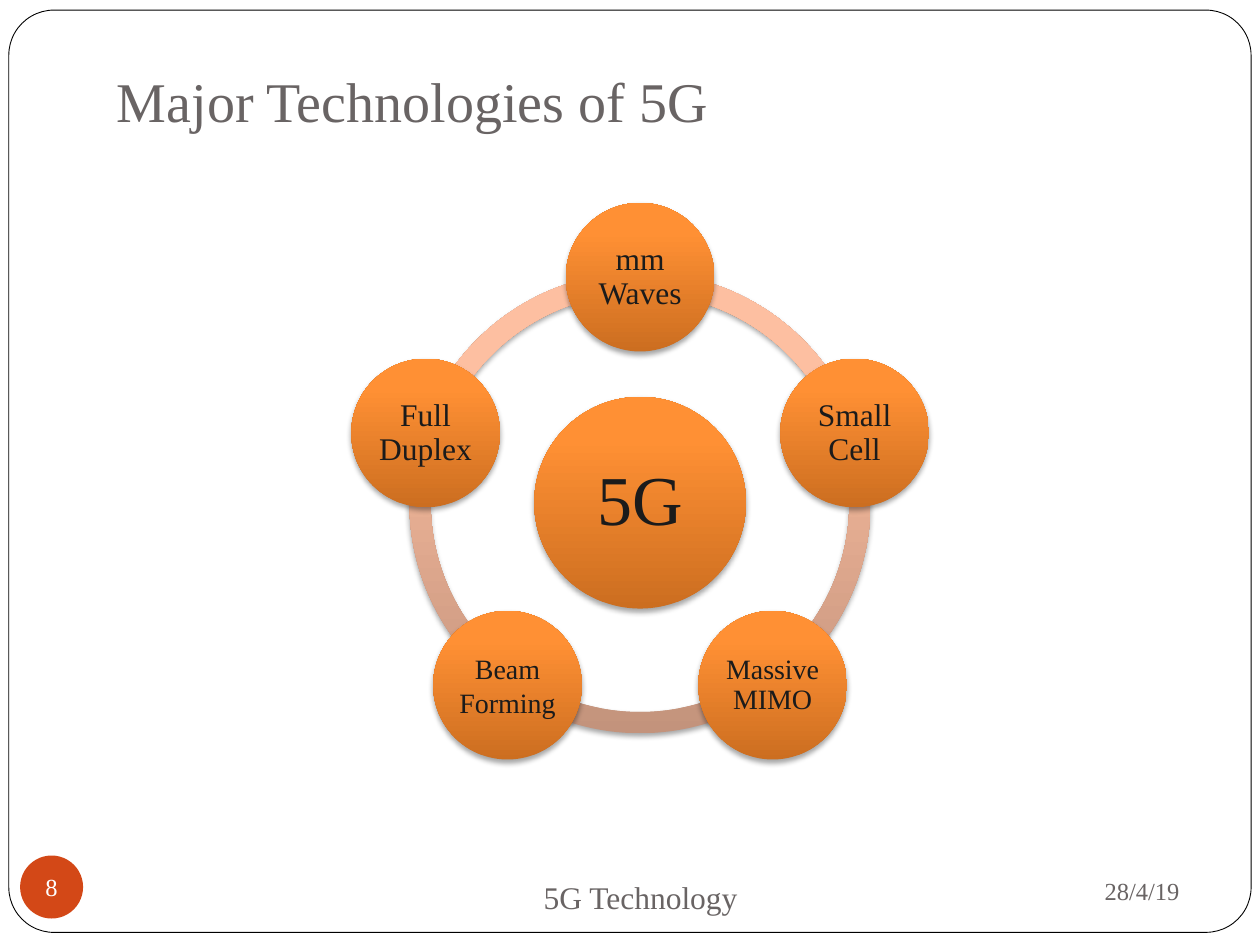
import math
import pptx
import pptx.dml.color
import pptx.enum.shapes
import pptx.enum.text
import pptx.oxml
import pptx.oxml.ns
import pptx.util

Inches, Pt = pptx.util.Inches, pptx.util.Pt
SHAPE = pptx.enum.shapes.MSO_SHAPE
ALIGN = pptx.enum.text.PP_ALIGN
ANCHOR = pptx.enum.text.MSO_ANCHOR

# Content
TITLE = "Major Technologies of 5G"
FOOTER, DATE, PAGE = "5G Technology", "28/4/19", "8"
HUB = "5G"
# Clockwise from the top: label, type size, line spacing
TECHNOLOGIES = [
    ("mm Waves", "node", 0.9),
    ("Small Cell", "node", 0.9),
    ("Massive MIMO", "node_long", 0.9),
    ("Beam Forming", "node_long", 1.0),
    ("Full Duplex", "node", 0.9),
]

THEME = {
    "font": "Times New Roman",
    "paper": "FFFFFF", "frame": "000000", "muted": "696464",
    "ink": "1B1B1B", "badge": "D34817",
    "ring": [(0, "C3937C"), (80, "FDBFA1"), (100, "FFBFA1")],
    "ball": [(0, "CC6E20"), (80, "FF9034"), (100, "FF9136")],
    "size": {"title": 32, "hub": 40, "node": 18, "node_long": 16,
             "footer": 18, "small": 14},
}

# Geometry in inches
CENTER_X, CENTER_Y = 5.08, 3.99
RING_SIZE, HUB_SIZE, NODE_SIZE = 3.66, 1.68, 1.18
ORBIT = 1.79
STEP = 360 / len(TECHNOLOGIES)
DEGREE = 0.6  # one degree in adjustment units


def rgb(color):
    return pptx.dml.color.RGBColor.from_string(color)


def write(shape, text, size, color, align=ALIGN.CENTER, anchor=ANCHOR.MIDDLE,
          insets=(0.1, 0.05, 0.1, 0.05), spacing=1.0, wrap=True):
    frame = shape.text_frame
    frame.word_wrap = wrap
    frame.vertical_anchor = anchor
    (frame.margin_left, frame.margin_top,
     frame.margin_right, frame.margin_bottom) = map(Inches, insets)
    paragraph = frame.paragraphs[0]
    paragraph.alignment = align
    paragraph.line_spacing = spacing
    run = paragraph.add_run()
    run.text = text
    run.font.name = THEME["font"]
    run.font.size = Pt(THEME["size"][size])
    run.font.color.rgb = rgb(THEME[color])


def add_label(slide, box, *args, **options):
    write(slide.shapes.add_textbox(*map(Inches, box)), *args, **options)


def add_flat(slide, kind, box, fill):
    shape = slide.shapes.add_shape(kind, *map(Inches, box))
    shape.shadow.inherit = False
    shape.fill.solid()
    shape.fill.fore_color.rgb = rgb(THEME[fill])
    shape.line.fill.background()
    return shape


def add_glossy(group, kind, x, y, size, gradient):
    """Centred shape with an upward gradient and a soft shadow below."""
    shape = group.shapes.add_shape(
        kind, Inches(x - size / 2), Inches(y - size / 2), Inches(size), Inches(size))
    shape.shadow.inherit = False
    shape.line.fill.background()
    ns = pptx.oxml.ns.nsdecls("a")
    stops = "".join(f'<a:gs pos="{pos * 1000}"><a:srgbClr val="{color}"/></a:gs>'
                    for pos, color in THEME[gradient])
    properties = shape._element.spPr
    properties.find(pptx.oxml.ns.qn("a:ln")).addprevious(pptx.oxml.parse_xml(
        f'<a:gradFill {ns} rotWithShape="1"><a:gsLst>{stops}</a:gsLst>'
        '<a:lin ang="16200000" scaled="0"/></a:gradFill>'))
    properties.find(pptx.oxml.ns.qn("a:effectLst")).append(pptx.oxml.parse_xml(
        f'<a:outerShdw {ns} blurRad="{Pt(3.1)}" dist="{Pt(1.8)}" dir="5400000" '
        'rotWithShape="0"><a:srgbClr val="000000"><a:alpha val="35000"/>'
        '</a:srgbClr></a:outerShdw>'))
    return shape


def add_cycle(slide):
    group = slide.shapes.add_group_shape()
    angles = [(270 + STEP * i) % 360 for i in range(len(TECHNOLOGIES))]

    # Ring segments between neighbouring technologies
    for start in reversed(angles):
        arc = add_glossy(group, SHAPE.BLOCK_ARC, CENTER_X, CENTER_Y, RING_SIZE, "ring")
        arc.adjustments[0] = start * DEGREE
        arc.adjustments[1] = (start + STEP) % 360 * DEGREE
        arc.adjustments[2] = 0.046

    # Hub
    hub = add_glossy(group, SHAPE.OVAL, CENTER_X, CENTER_Y, HUB_SIZE, "ball")
    write(hub, HUB, "hub", "ink", insets=[0.06] * 4, spacing=0.9)

    # Technologies on the ring
    for (name, size, spacing), angle in zip(TECHNOLOGIES, angles):
        turn = math.radians(angle)
        node = add_glossy(group, SHAPE.OVAL, CENTER_X + ORBIT * math.cos(turn),
                          CENTER_Y + ORBIT * math.sin(turn), NODE_SIZE, "ball")
        write(node, name, size, "ink", insets=[0.02] * 4, spacing=spacing)


def main():
    deck = pptx.Presentation()
    deck.slide_width, deck.slide_height = Inches(10), Inches(7.5)
    slide = deck.slides.add_slide(deck.slide_layouts[6])

    # Frame
    border = add_flat(slide, SHAPE.ROUNDED_RECTANGLE, (0.07, 0.08, 9.86, 7.32), "paper")
    border.adjustments[0] = 0.049
    border.line.color.rgb = rgb(THEME["frame"])
    border.line.width = Pt(0.5)

    # Title, page badge, footer and date
    add_label(slide, (0.83, 0.25, 9, 0.91), TITLE, "title", "muted", ALIGN.LEFT,
              ANCHOR.BOTTOM, (0.1, 0.05, 0.1, 0.1))
    badge = add_flat(slide, SHAPE.OVAL, (0.16, 6.79, 0.5, 0.5), "badge")
    write(badge, PAGE, "small", "paper", insets=[0] * 4, wrap=False)
    add_label(slide, (2.67, 6.92, 4.83, 0.4), FOOTER, "footer", "muted",
              anchor=ANCHOR.TOP)
    add_label(slide, (6.75, 6.81, 2.71, 0.52), DATE, "small", "muted", ALIGN.RIGHT)

    add_cycle(slide)
    deck.save("out.pptx")


if __name__ == "__main__":
    main()
